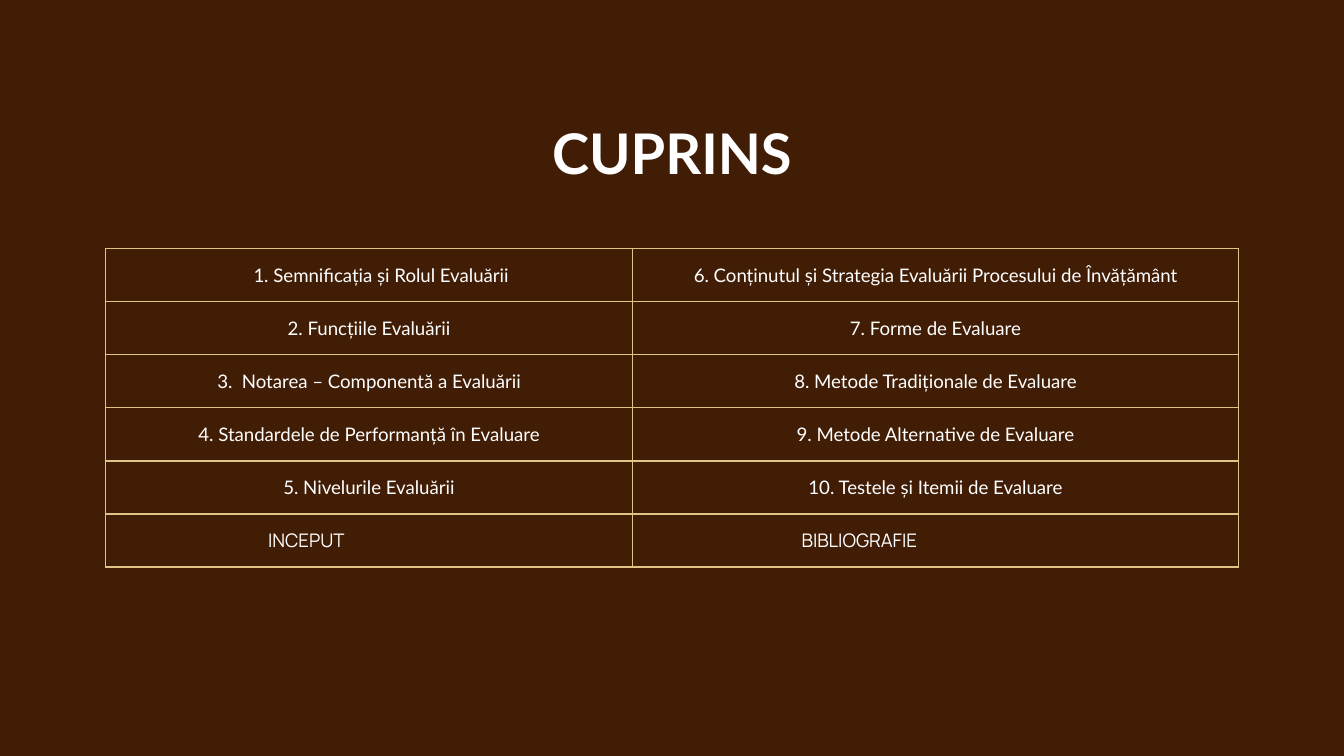
from lxml.etree import SubElement
from pptx import Presentation
from pptx.dml.color import RGBColor
from pptx.enum.text import MSO_ANCHOR, MSO_AUTO_SIZE, PP_ALIGN
from pptx.oxml.ns import qn
from pptx.util import Inches, Pt

COLORS = {"brown": "411D06", "gold": "E0C485", "white": "FFFFFF"}
CHAPTERS = [
    ("1. Semnificația și Rolul Evaluării",
     "6. Conținutul și Strategia Evaluării Procesului de Învățământ"),
    ("2. Funcțiile Evaluării", "7. Forme de Evaluare"),
    ("3.  Notarea – Componentă a Evaluării", "8. Metode Tradiționale de Evaluare"),
    ("4. Standardele de Performanță în Evaluare", "9. Metode Alternative de Evaluare"),
    ("5. Nivelurile Evaluării", "10. Testele și Itemii de Evaluare"),
    ("INCEPUT", "BIBLIOGRAFIE"),
]
# Left indents in inches, by (row, column)
INDENTS = {(0, 0): 0.18, (5, 0): 1.11, (5, 1): 1.16}


def add_run(paragraph, text, size, font="Lato", bold=False):
    run = paragraph.add_run()
    run.text = text
    run.font.name = font
    run.font.size = Pt(size)
    run.font.bold = bold
    run.font.color.rgb = RGBColor.from_string(COLORS["white"])


def add_borders(cell):
    properties = cell._tc.get_or_add_tcPr()
    for position, side in enumerate(("lnL", "lnR", "lnT", "lnB")):
        line = SubElement(properties, qn(f"a:{side}"), w=str(Pt(0.75)))
        fill = SubElement(line, qn("a:solidFill"))
        SubElement(fill, qn("a:srgbClr"), val=COLORS["gold"])
        properties.insert(position, line)


# Widescreen 16:9 slide
prs = Presentation()
prs.slide_width = Inches(10)
prs.slide_height = prs.slide_width * 9 // 16
slide = prs.slides.add_slide(prs.slide_layouts[5])
slide.background.fill.solid()
slide.background.fill.fore_color.rgb = RGBColor.from_string(COLORS["brown"])

# Title and table share one centred column
content_width = Inches(8.43)
content_left = (prs.slide_width - content_width) // 2

# Title
title = slide.shapes.title
title.left, title.top = content_left, Inches(0.78)
title.width, title.height = content_width, Inches(0.63)
frame = title.text_frame
frame.margin_left = frame.margin_right = Inches(0.1)
frame.margin_top = frame.margin_bottom = Inches(0.1)
frame.vertical_anchor = MSO_ANCHOR.TOP
frame.auto_size = MSO_AUTO_SIZE.NONE
frame.word_wrap = True
heading = frame.paragraphs[0]
heading.alignment = PP_ALIGN.CENTER
add_run(heading, "CUPRINS", 30, bold=True)

# Table of contents
table_height = Inches(2.37)
contents = slide.shapes.add_table(
    len(CHAPTERS), 2, content_left, Inches(1.85), content_width, table_height).table
contents.first_row = contents.horz_banding = False
for column, width in zip(contents.columns, (3.92, 4.51)):
    column.width = Inches(width)

for r, chapters in enumerate(CHAPTERS):
    contents.rows[r].height = table_height // len(CHAPTERS)
    is_link_row = r == len(CHAPTERS) - 1
    for c, chapter in enumerate(chapters):
        cell = contents.cell(r, c)
        cell.fill.solid()
        cell.fill.fore_color.rgb = RGBColor.from_string(COLORS["brown"])
        add_borders(cell)
        cell.margin_left = cell.margin_right = Inches(0.1)
        cell.margin_top = cell.margin_bottom = 0
        cell.vertical_anchor = MSO_ANCHOR.MIDDLE
        entry = cell.text_frame.paragraphs[0]
        entry.alignment = PP_ALIGN.LEFT if is_link_row else PP_ALIGN.CENTER
        indent = Inches(INDENTS.get((r, c), 0))
        entry._p.get_or_add_pPr().set("marL", str(indent))
        add_run(entry, chapter, 10, "Manrope" if is_link_row else "Lato")

prs.save("out.pptx")
